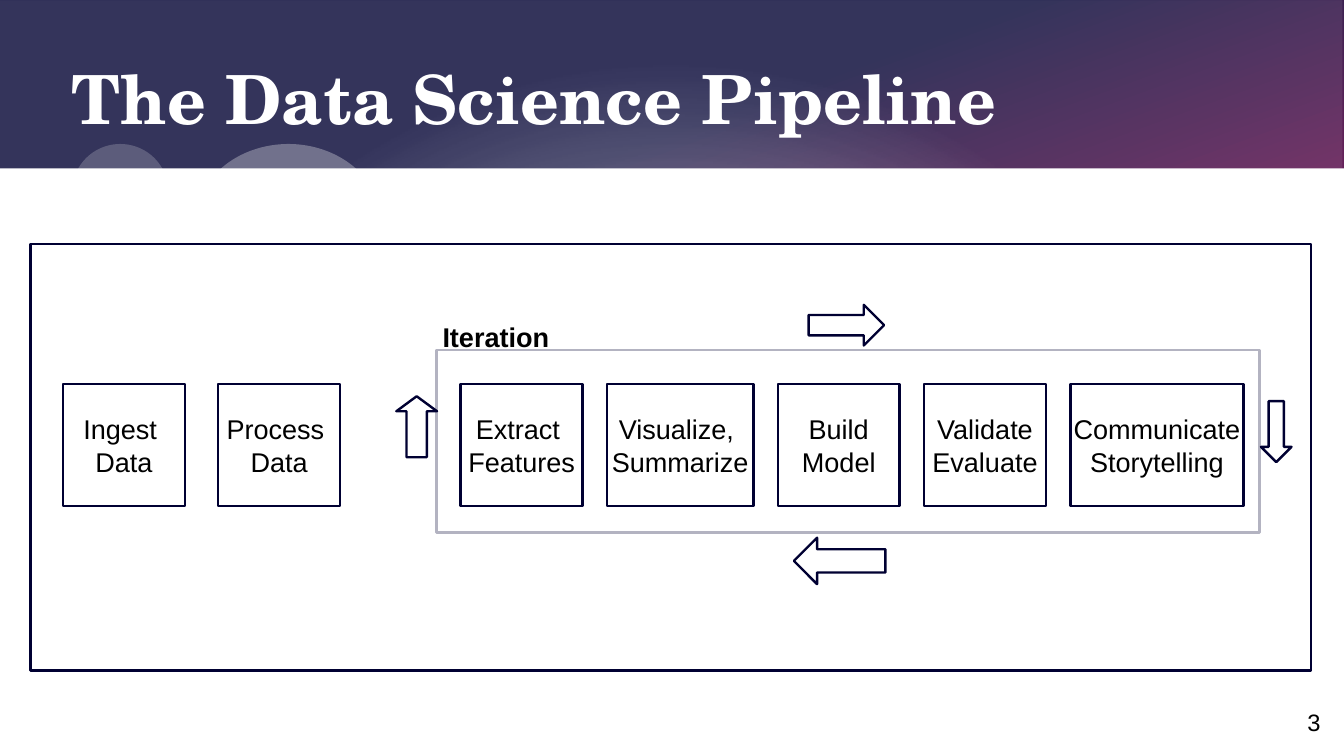
from dataclasses import dataclass

from lxml.etree import SubElement
from pptx import Presentation
from pptx.dml.color import RGBColor
from pptx.enum.shapes import MSO_SHAPE
from pptx.enum.text import MSO_ANCHOR, MSO_AUTO_SIZE, PP_ALIGN
from pptx.oxml.ns import qn
from pptx.util import Pt


@dataclass(frozen=True)
class Theme:
    navy: str = "000032"
    pink: str = "F60063"
    white: str = "FFFFFF"
    black: str = "000000"
    title_font: str = "TeX Gyre Schola"
    body_font: str = "Arial"
    title_size: float = 40
    body_size: float = 16
    number_size: float = 14
    line_width: float = 1.42
    box_opacity: int = 70


THEME = Theme()
WIDTH, HEIGHT = 793.5, 446.4
BAND_HEIGHT = 99.4
STEP_TOP, STEP_HEIGHT = 226.8, 72
PREPARATION = [("Ingest \nData", 72), ("Process \nData", 72)]
ITERATION = [
    ("Extract \nFeatures", 72),
    ("Visualize, \nSummarize", 86.4),
    ("Build\nModel", 72),
    ("Validate\nEvaluate", 72),
    ("Communicate\nStorytelling", 102.2),
]
# Preset, left, top, width, height, head length relative to the short side
ARROWS = [
    (MSO_SHAPE.RIGHT_ARROW, 477.4, 180, 44.6, 24, 0.5),
    (MSO_SHAPE.DOWN_ARROW, 744.5, 236.9, 18, 36, 0.5),
    (MSO_SHAPE.LEFT_ARROW, 468.7, 317.5, 54, 27.4, 0.5),
    (MSO_SHAPE.UP_ARROW, 234, 234, 24, 36, 0.37),
]


def set_alpha(color_element, opacity):
    SubElement(color_element, qn("a:alpha"), val=str(opacity * 1000))


def add_plain_shape(slide, preset, left, top, width, height, color=THEME.white, opacity=100):
    """Add a shape with a solid fill and neither line nor shadow."""
    shape = slide.shapes.add_shape(preset, Pt(left), Pt(top), Pt(width), Pt(height))
    shape.shadow.inherit = False
    shape.line.fill.background()
    shape.fill.solid()
    shape.fill.fore_color.rgb = RGBColor.from_string(color)
    if opacity < 100:
        set_alpha(shape.element.spPr.find(".//" + qn("a:srgbClr")), opacity)
    return shape


def add_outlined_shape(slide, preset, left, top, width, height):
    shape = add_plain_shape(slide, preset, left, top, width, height, opacity=THEME.box_opacity)
    shape.line.color.rgb = RGBColor.from_string(THEME.navy)
    shape.line.width = Pt(THEME.line_width)
    return shape


def add_gradient_layer(slide, stops):
    """Cover the slide with a gradient of (position, color, opacity) stops; return its XML."""
    shape = add_plain_shape(slide, MSO_SHAPE.RECTANGLE, 0, 0, WIDTH, HEIGHT)
    shape.fill.gradient()
    gradient = shape.element.spPr.find(qn("a:gradFill"))
    for child in list(gradient):
        gradient.remove(child)
    stop_list = SubElement(gradient, qn("a:gsLst"))
    for position, color, opacity in stops:
        stop = SubElement(stop_list, qn("a:gs"), pos=str(position * 1000))
        set_alpha(SubElement(stop, qn("a:srgbClr"), val=color), opacity)
    return gradient


def add_backdrop(slide):
    linear = add_gradient_layer(slide, [(30, THEME.navy, 100), (100, THEME.pink, 100)])
    SubElement(linear, qn("a:lin"), ang=str(70 * 60000), scaled="0")
    glow = add_gradient_layer(
        slide, [(0, THEME.white, 90), (75, THEME.white, 20), (100, THEME.white, 20)])
    circle = SubElement(glow, qn("a:path"), path="circle")
    SubElement(circle, qn("a:fillToRect"), l="50000", t="85000", r="50000", b="15000")
    add_plain_shape(slide, MSO_SHAPE.OVAL, 113.8, 85, 113, 99.4, opacity=30)
    add_plain_shape(slide, MSO_SHAPE.OVAL, 42.5, 85, 57, 57, opacity=20)
    add_plain_shape(slide, MSO_SHAPE.RECTANGLE, 0, BAND_HEIGHT, WIDTH, HEIGHT - BAND_HEIGHT)


def write_text(frame, text, size=THEME.body_size, font=THEME.body_font,
               color=THEME.black, bold=False, align=PP_ALIGN.LEFT):
    paragraph = frame.paragraphs[0]
    paragraph.alignment = align
    for index, line in enumerate(text.split("\n")):
        if index:
            paragraph.add_line_break()
        run = paragraph.add_run()
        run.text = line
        run.font.name = font
        run.font.size = Pt(size)
        run.font.bold = bold
        run.font.color.rgb = RGBColor.from_string(color)


def clear_margins(frame):
    frame.margin_left = frame.margin_right = frame.margin_top = frame.margin_bottom = 0


def add_title(slide, text):
    title = slide.shapes.title
    title.element.getparent().append(title.element)  # in front of the backdrop
    title.left, title.top, title.width, title.height = Pt(42.5), Pt(21.6), Pt(708.5), Pt(77.8)
    frame = title.text_frame
    clear_margins(frame)
    frame.auto_size = MSO_AUTO_SIZE.NONE
    frame.vertical_anchor = MSO_ANCHOR.MIDDLE
    write_text(frame, text, THEME.title_size, THEME.title_font, THEME.white, bold=True)
    frame.paragraphs[0].line_spacing = 0.9


def add_text_box(slide, left, top, width, height):
    frame = slide.shapes.add_textbox(Pt(left), Pt(top), Pt(width), Pt(height)).text_frame
    frame.word_wrap = True
    return frame


def add_page_number(slide, number):
    frame = add_text_box(slide, 595.4, 403.9, 184.3, 31)
    clear_margins(frame)
    frame.vertical_anchor = MSO_ANCHOR.BOTTOM
    write_text(frame, number, THEME.number_size, align=PP_ALIGN.RIGHT)


def add_step_row(slide, left, gap, steps):
    for label, width in steps:
        step = add_outlined_shape(
            slide, MSO_SHAPE.FLOWCHART_PROCESS, left, STEP_TOP, width, STEP_HEIGHT)
        step.text_frame.word_wrap = False
        step.text_frame.vertical_anchor = MSO_ANCHOR.MIDDLE
        write_text(step.text_frame, label, align=PP_ALIGN.CENTER)
        left += width + gap


def add_arrow(slide, preset, left, top, width, height, head):
    arrow = add_outlined_shape(slide, preset, left, top, width, height)
    arrow.adjustments[0] = 0.5
    arrow.adjustments[1] = head


def main():
    presentation = Presentation()
    presentation.slide_width, presentation.slide_height = Pt(WIDTH), Pt(HEIGHT)
    slide = presentation.slides.add_slide(presentation.slide_layouts[5])
    add_backdrop(slide)
    add_page_number(slide, "3")
    # The translucent pipeline frame lies over the iteration frame and dims it.
    add_outlined_shape(slide, MSO_SHAPE.RECTANGLE, 257.6, 206.6, 486, 108)
    add_outlined_shape(slide, MSO_SHAPE.RECTANGLE, 18, 144, 756, 252)
    add_title(slide, "The Data Science Pipeline")
    add_step_row(slide, 37.2, 19.6, PREPARATION)
    add_step_row(slide, 272, 14.4, ITERATION)
    write_text(add_text_box(slide, 254.2, 185.8, 180, 24.5), "Iteration", bold=True)
    for arrow in ARROWS:
        add_arrow(slide, *arrow)
    presentation.save("out.pptx")


if __name__ == "__main__":
    main()
